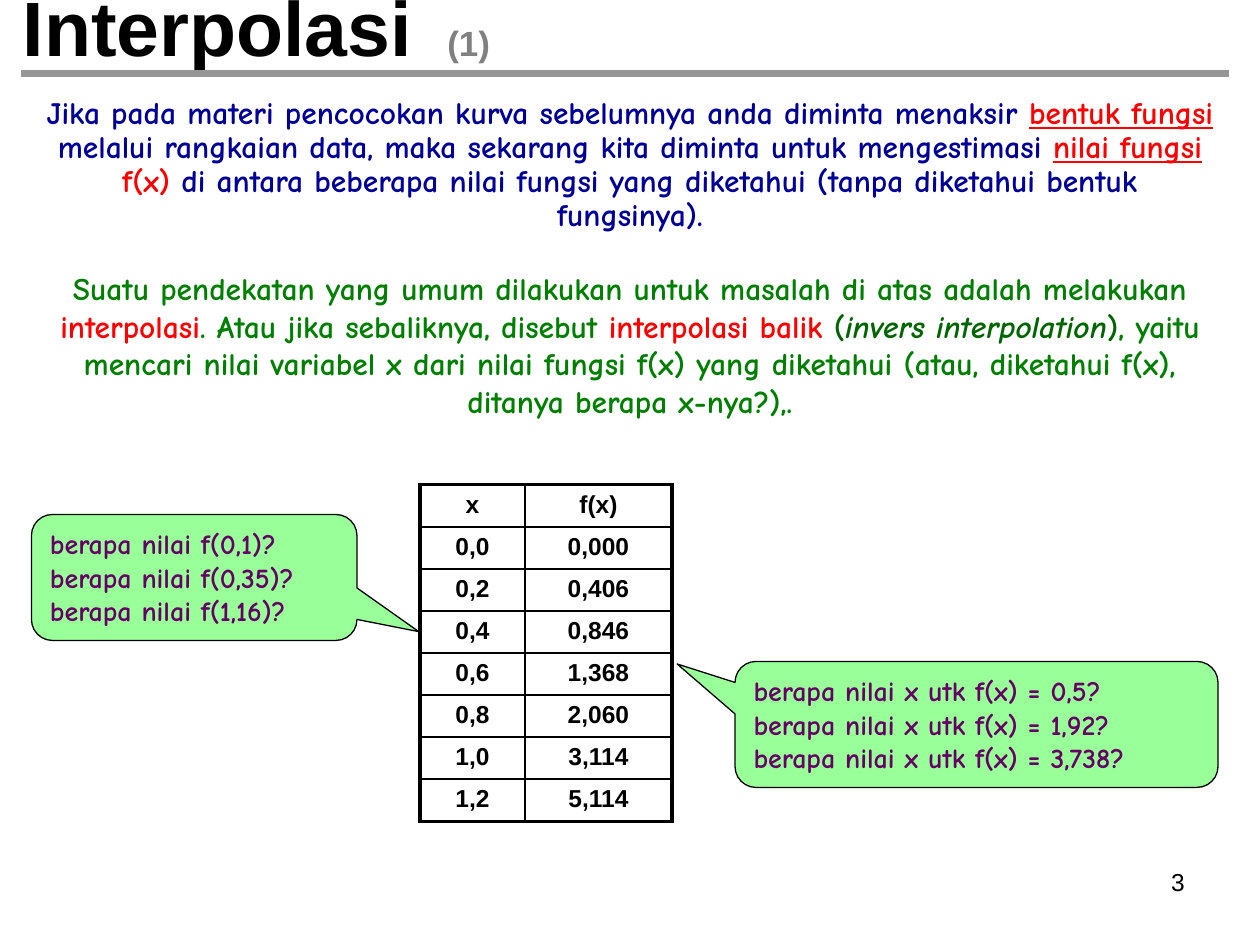
from lxml import etree
from pptx import Presentation
from pptx.dml.color import RGBColor
from pptx.enum import shapes, text
from pptx.oxml import ns
from pptx.util import Pt

BLACK = RGBColor(0x00, 0x00, 0x00)
GRAY = RGBColor(0x80, 0x80, 0x80)
RULE_GRAY = RGBColor(0x96, 0x96, 0x96)
NAVY = RGBColor(0x00, 0x00, 0x99)
RED = RGBColor(0xFF, 0x00, 0x00)
GREEN = RGBColor(0x00, 0x80, 0x00)
DARK_GREEN = RGBColor(0x00, 0x66, 0x00)
LIGHT_GREEN = RGBColor(0x99, 0xFF, 0x99)
PURPLE = RGBColor(0x66, 0x00, 0x66)

SANS = "Arial"
HAND = "Comic Neue"
OUTER, INNER = 2.25, 1

VALUES = [
    ("x", "f(x)"),
    ("0,0", "0,000"),
    ("0,2", "0,406"),
    ("0,4", "0,846"),
    ("0,6", "1,368"),
    ("0,8", "2,060"),
    ("1,0", "3,114"),
    ("1,2", "5,114"),
]


def add_span(para, words, size, color, face=HAND, bold=True, italic=None, underline=None):
    span = para.add_run()
    span.text = words
    font = span.font
    font.name, font.size, font.bold = face, Pt(size), bold
    font.italic, font.underline = italic, underline
    font.color.rgb = color


def add_box(page, left, top, width, height, align=text.PP_ALIGN.LEFT):
    """Add a wrapping text box and return its first paragraph and frame."""
    box = page.shapes.add_textbox(Pt(left), Pt(top), Pt(width), Pt(height))
    frame = box.text_frame
    frame.word_wrap = True
    para = frame.paragraphs[0]
    para.alignment = align
    return para, frame


def add_tab_stop(para, position):
    tabs = etree.SubElement(para._p.get_or_add_pPr(), ns.qn("a:tabLst"))
    etree.SubElement(tabs, ns.qn("a:tab"), pos=str(Pt(position)), algn="l")


def add_rule(page, left, right, top):
    rule = page.shapes.add_connector(
        shapes.MSO_CONNECTOR.STRAIGHT, Pt(left), Pt(top), Pt(right), Pt(top))
    rule.line.color.rgb = RULE_GRAY
    rule.line.width = Pt(4.5)
    etree.SubElement(rule._element.spPr, ns.qn("a:effectLst"))


def set_borders(cell, widths):
    properties = cell._tc.get_or_add_tcPr()
    for side, width in zip("LRTB", widths):
        line = etree.SubElement(properties, ns.qn(f"a:ln{side}"), w=str(Pt(width)))
        fill = etree.SubElement(line, ns.qn("a:solidFill"))
        etree.SubElement(fill, ns.qn("a:srgbClr"), val=str(BLACK))


def add_value_table(page, left, top, column_widths, row_height):
    last_row, last_column = len(VALUES) - 1, len(column_widths) - 1
    table = page.shapes.add_table(
        len(VALUES), len(column_widths), Pt(left), Pt(top),
        Pt(sum(column_widths)), Pt(row_height * len(VALUES))).table
    table.first_row = table.horz_banding = False
    for column, width in zip(table.columns, column_widths):
        column.width = Pt(width)
    for r, row in enumerate(VALUES):
        for c, value in enumerate(row):
            cell = table.cell(r, c)
            on_edge = (c == 0, c == last_column, r == 0, r == last_row)
            set_borders(cell, [OUTER if edge else INNER for edge in on_edge])
            cell.fill.background()
            para = cell.text_frame.paragraphs[0]
            para.alignment = text.PP_ALIGN.CENTER
            add_span(para, value, 14, BLACK, SANS)


def add_callout(page, left, top, width, height, tip, questions):
    callout = page.shapes.add_shape(
        shapes.MSO_SHAPE.ROUNDED_RECTANGULAR_CALLOUT,
        Pt(left), Pt(top), Pt(width), Pt(height))
    callout.shadow.inherit = False
    callout.adjustments[0], callout.adjustments[1] = tip
    callout.fill.solid()
    callout.fill.fore_color.rgb = LIGHT_GREEN
    callout.line.color.rgb = BLACK
    callout.line.width = Pt(0.75)
    frame = callout.text_frame
    frame.word_wrap = True
    frame.vertical_anchor = text.MSO_ANCHOR.TOP
    for i, question in enumerate(questions):
        para = frame.add_paragraph() if i else frame.paragraphs[0]
        para.alignment = text.PP_ALIGN.LEFT
        add_span(para, f"berapa nilai {question}?", 16, PURPLE)


def main():
    deck = Presentation()
    deck.slide_width, deck.slide_height = Pt(720), Pt(540)
    page = deck.slides.add_slide(deck.slide_layouts[6])

    # Page number
    para, _ = add_box(page, 516, 492, 168, 37.5, text.PP_ALIGN.RIGHT)
    add_span(para, "3", 14, BLACK, SANS, bold=False)

    # Title and rule
    para, frame = add_box(page, 6, -18, 648, 66)
    frame.vertical_anchor = text.MSO_ANCHOR.MIDDLE
    add_tab_stop(para, 242.5)
    add_span(para, "Interpolasi\t", 44, BLACK, SANS)
    add_span(para, "(1)", 20, GRAY, SANS)
    add_rule(page, 12, 702, 42)

    # Estimating a function value
    para, _ = add_box(page, 18, 52, 684, 92, text.PP_ALIGN.CENTER)
    para.line_spacing = 0.9
    add_span(para, "Jika pada materi pencocokan kurva sebelumnya anda diminta menaksir ", 18, NAVY)
    add_span(para, "bentuk fungsi", 18, RED, underline=True)
    add_span(para, " melalui rangkaian data, maka sekarang kita diminta untuk mengestimasi ",
             18, NAVY)
    add_span(para, "nilai fungsi", 18, RED, underline=True)
    add_span(para, " ", 18, NAVY)
    add_span(para, "f(x)", 18, RED)
    add_span(para, " di antara beberapa nilai fungsi yang diketahui "
             "(tanpa diketahui bentuk fungsinya).", 18, NAVY)

    # Interpolation and its inverse
    para, _ = add_box(page, 12, 150, 696, 96, text.PP_ALIGN.CENTER)
    add_span(para, "Suatu pendekatan yang umum dilakukan untuk masalah di atas "
             "adalah melakukan ", 18, GREEN)
    add_span(para, "interpolasi", 18, RED)
    add_span(para, ". Atau jika sebaliknya, disebut ", 18, GREEN)
    add_span(para, "interpolasi balik ", 18, RED)
    add_span(para, "(", 18, DARK_GREEN)
    add_span(para, "invers interpolation", 18, DARK_GREEN, italic=True)
    add_span(para, ")", 18, DARK_GREEN)
    add_span(para, ", yaitu mencari nilai variabel x dari nilai fungsi f(x) yang diketahui "
             "(atau, diketahui f(x), ditanya berapa x-nya?),.", 18, GREEN)

    # Known values and the questions about them
    add_value_table(page, 240, 277, (60, 84), 14.4)
    add_callout(page, 420, 378, 276, 72, (-0.62, -0.48),
                [f"x utk f(x) = {value}" for value in ("0,5", "1,92", "3,738")])
    add_callout(page, 18, 294, 186, 72, (0.69, 0.43),
                [f"f({value})" for value in ("0,1", "0,35", "1,16")])

    deck.save("out.pptx")


if __name__ == "__main__":
    main()
